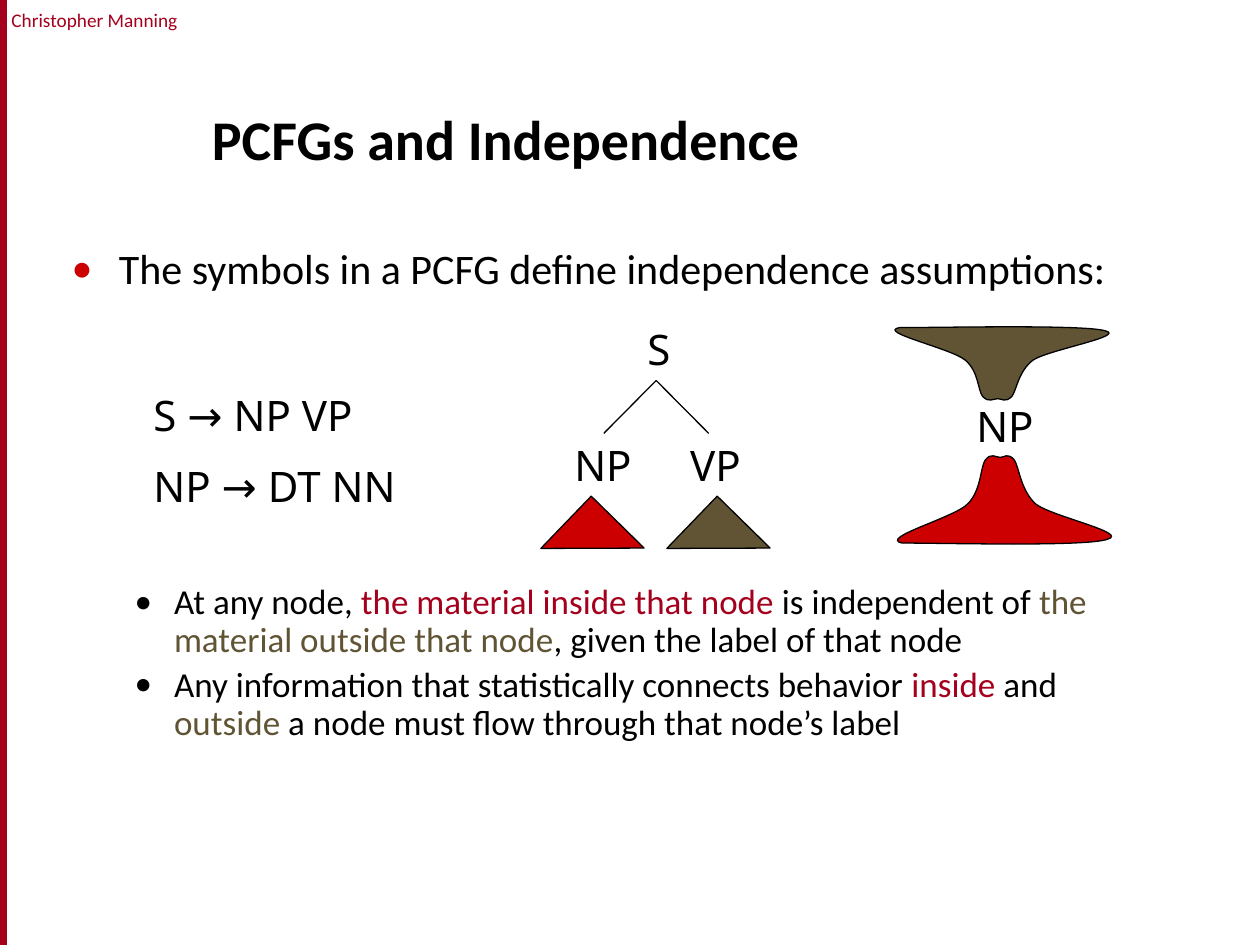
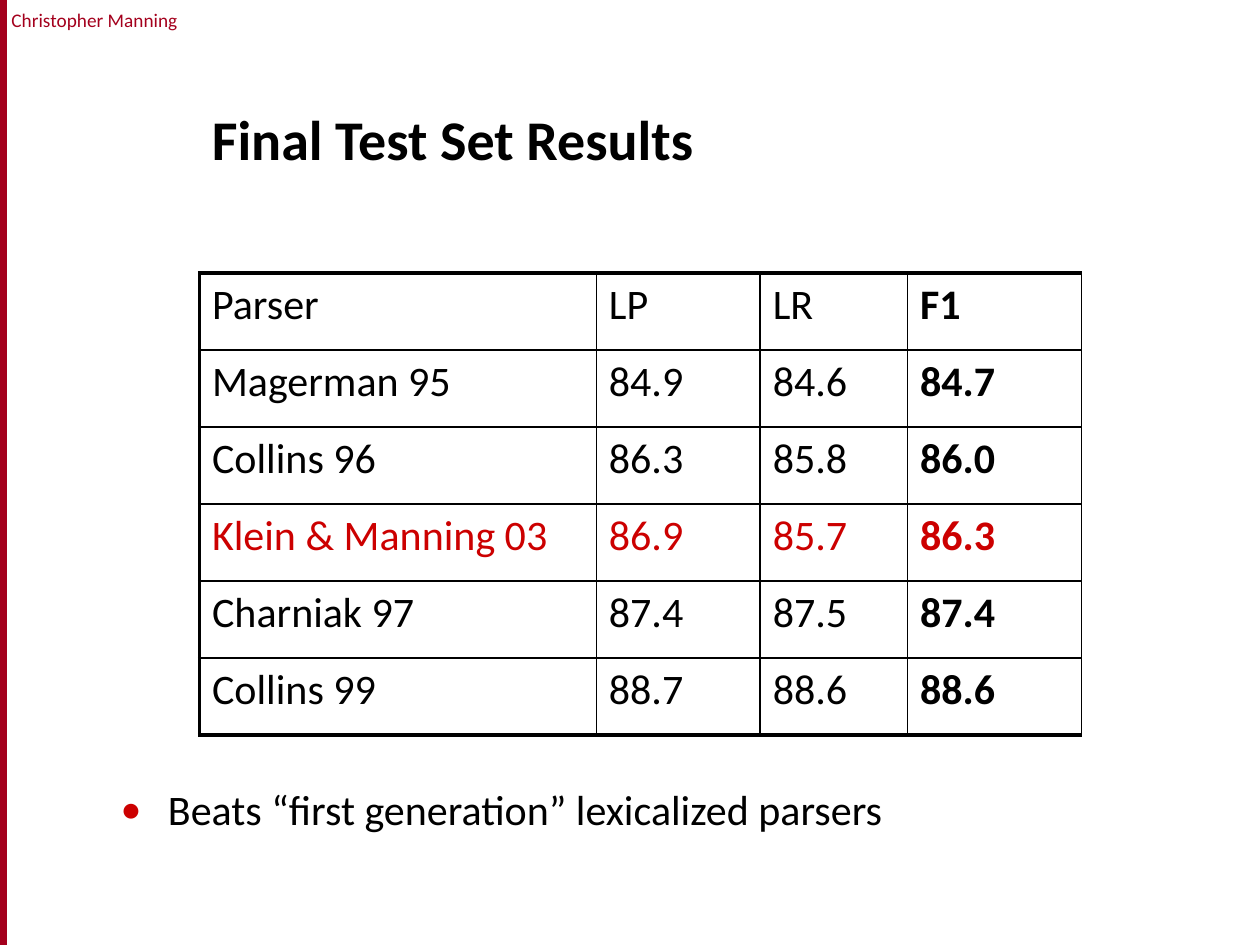
from lxml import etree
from pptx import Presentation
from pptx import util as u
from pptx.dml.color import RGBColor
from pptx.enum import shapes, text
from pptx.oxml import ns

CRIMSON, RED, OLIVE, BLACK = "A4001D", "CC0000", "605435", "000000"
BODY, SYMBOL = "Calibri", "Noto Sans"

SUBTREE = [(4, 0), (0, 4.15), (8.2, 4.12)]
BELL = [
    (1.9, 0),
    (0, 0.4), (6, 2), (7.1, 3.1),
    (8.2, 4.2), (8.1, 6), (8.5, 6.6),
    (9, 7.2), (9.3, 6.8), (9.7, 6.8),
    (10, 6.8), (10.3, 7.2), (10.8, 6.6),
    (11.2, 6), (11.3, 4.2), (12.5, 3.1),
    (13.8, 2.1), (20, 0.8), (18.2, 0.3),
    (16.5, -0.3), (5.3, 0), (1.9, 0),
]

RESULTS = [
    ("Parser", "LP", "LR", "F1"),
    ("Magerman 95", "84.9", "84.6", "84.7"),
    ("Collins 96", "86.3", "85.8", "86.0"),
    ("Klein & Manning 03", "86.9", "85.7", "86.3"),
    ("Charniak 97", "87.4", "87.5", "87.4"),
    ("Collins 99", "88.7", "88.6", "88.6"),
]


def rgb(value):
    return RGBColor.from_string(value)


def child(parent, tag, **attributes):
    return etree.SubElement(parent, ns.qn(tag), attributes)


def bend(figure):
    segments = list(figure._element.iter(ns.qn("a:lnTo")))
    for first in range(0, len(segments), 3):
        curve = etree.Element(ns.qn("a:cubicBezTo"))
        segments[first].addprevious(curve)
        for segment in segments[first:first + 3]:
            curve.append(segment[0])
            segment.getparent().remove(segment)


class Deck:
    """Draws lecture slides on a grid of 100 columns by 75 rows."""

    def __init__(self):
        self.file = Presentation()
        self.file.slide_width, self.file.slide_height = u.Inches(10), u.Inches(7.5)
        self.cell = self.file.slide_width / 100
        self.slide = None

    def grid(self, *lengths):
        return [u.Emu(round(length * self.cell)) for length in lengths]

    def page(self, title):
        self.slide = self.file.slides.add_slide(self.file.slide_layouts[6])
        self.text((0.4, 0.15, 14.2, 2.9), ["Christopher Manning"], size=11, color=CRIMSON,
                  align=text.PP_ALIGN.CENTER, side=0)
        self.bar((0, 0, 0.5, 75), CRIMSON)
        self.text((15.83, 3.3, 80.8, 10.8), [title], size=32, bold=True,
                  anchor=text.MSO_ANCHOR.BOTTOM)

    def style(self, paragraph, content, size=24, color=BLACK, font=BODY, bold=False):
        for part in [content] if isinstance(content, str) else content:
            words, tint = (part, None) if isinstance(part, str) else part
            run = paragraph.add_run()
            run.text = words
            if tint:
                run.font.color.rgb = rgb(tint)
        paragraph.font.size, paragraph.font.name = u.Pt(size), font
        paragraph.font.bold, paragraph.font.color.rgb = bold, rgb(color)

    def text(self, box, lines, align=None, anchor=text.MSO_ANCHOR.TOP, side=1, gap=0, **look):
        frame = self.slide.shapes.add_textbox(*self.grid(*box)).text_frame
        frame.word_wrap, frame.vertical_anchor = True, anchor
        frame.margin_left, frame.margin_right = self.grid(side, side)
        for index, line in enumerate(lines):
            paragraph = frame.add_paragraph() if index else frame.paragraphs[0]
            paragraph.alignment = align
            paragraph.space_before = u.Pt(gap if index else 0)
            self.style(paragraph, line, **look)
        return frame

    def bullet(self, paragraph, left, hang, color, gap=0, spacing=1.0):
        paragraph.space_before, paragraph.line_spacing = u.Pt(gap), spacing
        properties = paragraph._p.get_or_add_pPr()
        margin, indent = self.grid(left, -hang)
        properties.set("marL", str(margin))
        properties.set("indent", str(indent))
        mark = etree.Element(ns.qn("a:buClr"))
        child(mark, "a:srgbClr", val=color)
        face = etree.Element(ns.qn("a:buFont"), typeface=BODY)
        dot = etree.Element(ns.qn("a:buChar"), char="•")
        defaults = properties.find(ns.qn("a:defRPr"))
        for element in (mark, face, dot):
            defaults.addprevious(element)

    def paint(self, figure, fill, line=BLACK):
        figure.shadow.inherit = False
        figure.fill.solid()
        figure.fill.fore_color.rgb = rgb(fill)
        figure.line.color.rgb, figure.line.width = rgb(line), u.Pt(0.75)

    def bar(self, box, color):
        strip = self.slide.shapes.add_shape(shapes.MSO_SHAPE.RECTANGLE, *self.grid(*box))
        self.paint(strip, color, color)

    def line(self, start, end):
        branch = self.slide.shapes.add_connector(
            shapes.MSO_CONNECTOR.STRAIGHT, *self.grid(*start, *end))
        branch.line.color.rgb, branch.line.width = rgb(BLACK), u.Pt(0.75)
        child(branch._element.spPr, "a:effectLst")

    def outline(self, points, left, top, fill, stretch=1, curved=False):
        corners = [self.grid(left + x, top + stretch * y) for x, y in points]
        builder = self.slide.shapes.build_freeform(*corners[0])
        builder.add_line_segments(corners[1:])
        figure = builder.convert_to_shape()
        if curved:
            bend(figure)
        self.paint(figure, fill)

    def border(self, cell, **widths):
        properties = cell._tc.get_or_add_tcPr()
        for side in "LRTB":
            edge = child(properties, f"a:ln{side}", w=str(u.Pt(widths.get(side, 1))))
            child(child(edge, "a:solidFill"), "a:srgbClr", val=BLACK)

    def table(self, box, rows, widths, marked):
        grid = self.slide.shapes.add_table(len(rows), len(widths), *self.grid(*box)).table
        grid.first_row = grid.horz_banding = False
        for column, width in zip(grid.columns, self.grid(*widths)):
            column.width = width
        for r, row in enumerate(rows):
            for c, value in enumerate(row):
                cell = grid.cell(r, c)
                self.style(cell.text_frame.paragraphs[0], value, bold=c == len(row) - 1,
                           color=RED if r == marked else BLACK)
                self.border(cell, L=1 if c else 2.25, T=1 if r else 2.25,
                            B=2.25 if r == len(rows) - 1 else 1)
                cell.fill.background()


def independence(deck):
    deck.page("PCFGs and Independence")
    claims = deck.text((4.7, 19.2, 85, 53.3), [
        "The symbols in a PCFG define independence assumptions:"])
    deck.bullet(claims.paragraphs[0], 3.75, 3.75, RED, spacing=0.9)
    details = [
        ["At any node, ", ("the material inside that node ", CRIMSON), "is independent of ",
         ("the material outside that node", OLIVE), ", given the label of that node"],
        ["Any information that statistically connects behavior ", ("inside", CRIMSON), " and ",
         ("outside", OLIVE), " a node must flow through that node’s label"],
    ]
    for detail, gap in zip(details, (166.4, 4)):
        paragraph = claims.add_paragraph()
        deck.style(paragraph, detail, size=20)
        deck.bullet(paragraph, 8.13, 3.13, BLACK, gap, 0.9)

    deck.text((11.2, 30.4, 26.6, 11), ["S → NP VP", "NP → DT NN"], font=SYMBOL, gap=12)
    for label, left, top, width in (("S", 50.4, 25.2, 4.2), ("NP", 44.6, 34.4, 6.7),
                                    ("VP", 53.8, 34.4, 6.7), ("NP", 76.5, 31.3, 6.7)):
        deck.text((left, top, width, 5), [label], font=SYMBOL)
    for branch_end in (47.92, 56.25):
        deck.line((52.08, 30.2), (branch_end, 34.4))
    for left, fill in ((42.92, RED), (52.92, OLIVE)):
        deck.outline(SUBTREE, left, 39.38, fill)
    deck.outline(BELL, 69.7, 43.1, RED, stretch=-1, curved=True)
    deck.outline(BELL, 69.5, 26, OLIVE, stretch=0.83, curved=True)


def results(deck):
    deck.page("Final Test Set Results")
    verdict = deck.text((8.6, 61.7, 85, 5.8), ["Beats “first generation” lexicalized parsers"])
    deck.bullet(verdict.paragraphs[0], 3.75, 3.75, RED)
    deck.table((15.83, 21.67, 70, 36.67), RESULTS, (31.5, 13, 11.7, 13.8), marked=3)


def main():
    deck = Deck()
    independence(deck)
    results(deck)
    deck.file.save("out.pptx")


if __name__ == "__main__":
    main()
